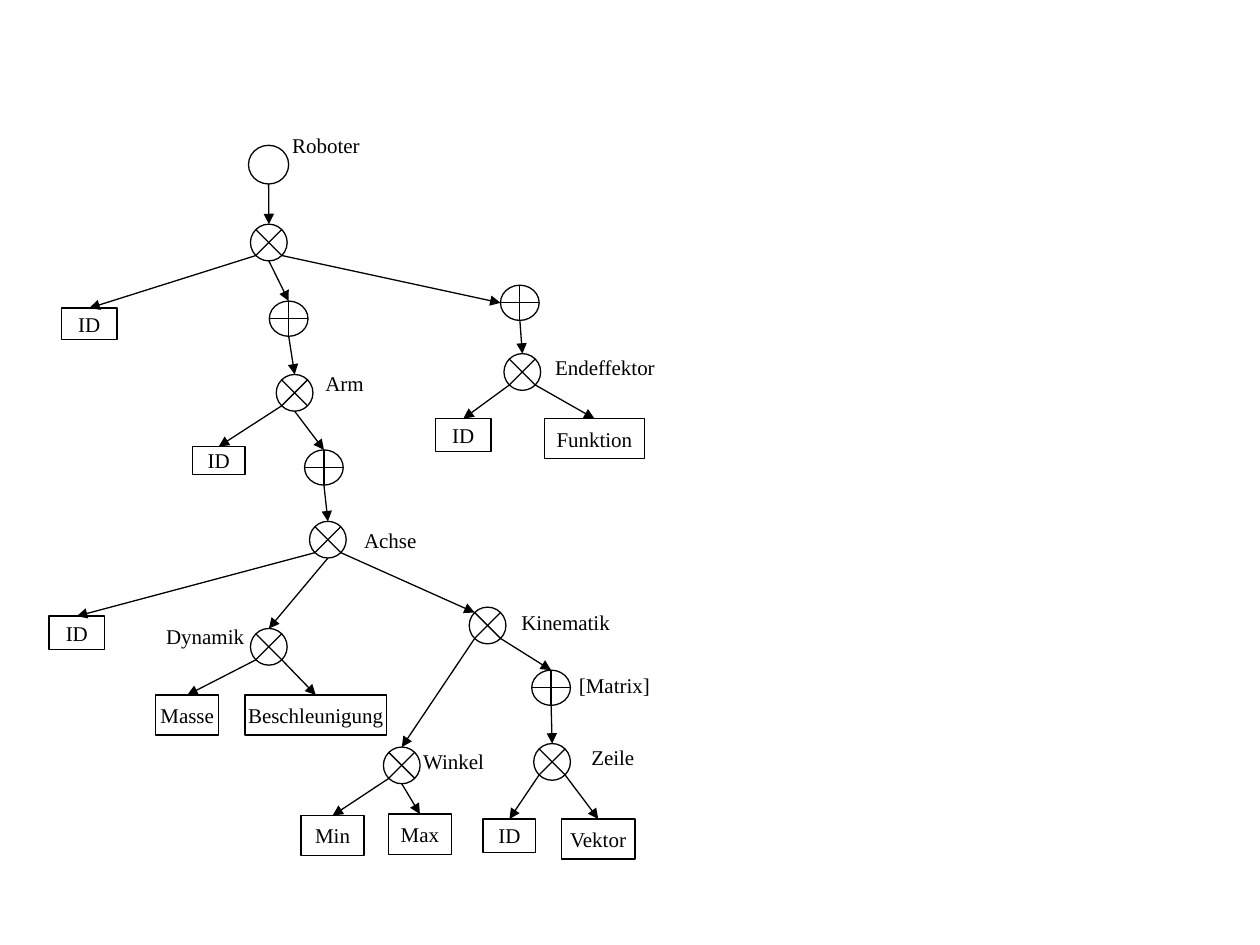
from math import sqrt
from lxml.etree import SubElement
from pptx import Presentation
from pptx.dml.color import RGBColor
from pptx.enum.shapes import MSO_CONNECTOR, MSO_SHAPE
from pptx.enum.text import MSO_ANCHOR, MSO_AUTO_SIZE, PP_ALIGN
from pptx.oxml.ns import qn
from pptx.util import Cm, Pt

COLORS = {"ink": "000000"}
FONT = "Times New Roman"

# kind: preset, width, height (cm)
KINDS = {
    "start": (MSO_SHAPE.FLOWCHART_CONNECTOR, 0.81, 0.78),
    "and": (MSO_SHAPE.FLOWCHART_SUMMING_JUNCTION, 0.74, 0.74),
    "set": (MSO_SHAPE.FLOWCHART_OR, 0.78, 0.71),
}

# name: kind, left, top
NODES = {
    "start": ("start", 5.01, 2.93),
    "robot": ("and", 5.05, 4.52),
    "arms": ("set", 5.43, 6.07),
    "arm": ("and", 5.57, 7.55),
    "axes": ("set", 6.14, 9.07),
    "axis": ("and", 6.24, 10.51),
    "tools": ("set", 10.09, 5.75),
    "tool": ("and", 10.16, 7.13),
    "dynamics": ("and", 5.05, 12.67),
    "motion": ("and", 9.46, 12.24),
    "matrix": ("set", 10.72, 13.51),
    "row": ("and", 10.76, 14.99),
    "angle": ("and", 7.73, 15.06),
}

# name: text, left, top, width, height
BOXES = {
    "robot id": ("ID", 1.24, 6.21, 1.12, 0.64),
    "arm id": ("ID", 3.88, 9.0, 1.06, 0.56),
    "tool id": ("ID", 8.78, 8.44, 1.12, 0.66),
    "function": ("Funktion", 10.98, 8.44, 2.01, 0.81),
    "axis id": ("ID", 0.99, 12.42, 1.12, 0.67),
    "mass": ("Masse", 3.14, 14.01, 1.27, 0.81),
    "speed": ("Beschleunigung", 4.94, 14.01, 2.85, 0.81),
    "min": ("Min", 6.07, 16.44, 1.27, 0.81),
    "max": ("Max", 7.83, 16.41, 1.27, 0.81),
    "row id": ("ID", 9.74, 16.51, 1.06, 0.67),
    "vector": ("Vektor", 11.32, 16.51, 1.48, 0.81),
}

# text, left, top, width
LABELS = [
    ("Roboter", 5.64, 2.54, 1.95),
    ("Arm", 6.31, 7.34, 1.37),
    ("Endeffektor", 10.94, 7.02, 2.61),
    ("Achse", 7.09, 10.52, 1.65),
    ("Kinematik", 10.26, 12.17, 2.39),
    ("Dynamik", 3.1, 12.45, 2.18),
    ("[Matrix]", 11.42, 13.44, 2.03),
    ("Zeile", 11.67, 14.88, 1.47),
    ("Winkel", 8.28, 14.96, 1.85),
]

# parent, side it leaves from, child, side it reaches
EDGES = [
    ("start", "S", "robot", "N"),
    ("robot", "SW", "robot id", "N"),
    ("robot", "S", "arms", "N"),
    ("robot", "SE", "tools", "W"),
    ("arms", "S", "arm", "N"),
    ("arm", "SW", "arm id", "N"),
    ("arm", "S", "axes", "N"),
    ("axes", "S", "axis", "N"),
    ("tools", "S", "tool", "N"),
    ("tool", "SW", "tool id", "N"),
    ("tool", "SE", "function", "N"),
    ("axis", "SW", "axis id", "N"),
    ("axis", "S", "dynamics", "N"),
    ("axis", "SE", "motion", "NW"),
    ("dynamics", "SW", "mass", "N"),
    ("dynamics", "SE", "speed", "N"),
    ("motion", "SW", "angle", "N"),
    ("motion", "SE", "matrix", "N"),
    ("matrix", "S", "row", "N"),
    ("angle", "SW", "min", "N"),
    ("angle", "S", "max", "N"),
    ("row", "SW", "row id", "N"),
    ("row", "SE", "vector", "N"),
]


def ink(name="ink"):
    return RGBColor.from_string(COLORS[name])


def stroke(line):
    line.color.rgb = ink()
    line.width = Pt(0.75)


def write(shape, text, size=12, align=PP_ALIGN.LEFT, anchor=MSO_ANCHOR.TOP):
    frame = shape.text_frame
    frame.word_wrap = False
    frame.vertical_anchor = anchor
    para = frame.paragraphs[0]
    para.alignment = align
    run = para.add_run()
    run.text = text
    run.font.name = FONT
    run.font.size = Pt(size)
    run.font.color.rgb = ink()
    return frame


def outline(slide, preset, *place):
    shape = slide.shapes.add_shape(preset, *map(Cm, place))
    shape.shadow.inherit = False
    shape.fill.background()
    stroke(shape.line)
    return shape


def site(shape, side):
    """Point on the rim of a shape in a compass direction."""
    dx = ("E" in side) - ("W" in side)
    dy = ("S" in side) - ("N" in side)
    reach = sqrt(dx * dx + dy * dy)
    return (int(shape.left + shape.width / 2 * (1 + dx / reach)),
            int(shape.top + shape.height / 2 * (1 + dy / reach)))


def arrow(slide, parent, out, child, side):
    link = slide.shapes.add_connector(
        MSO_CONNECTOR.STRAIGHT, *site(parent, out), *site(child, side))
    if side == "N":
        link.end_connect(child, 0)
    stroke(link.line)
    props = link.line._get_or_add_ln()
    SubElement(props, qn("a:tailEnd"), type="triangle")
    SubElement(link._element.spPr, qn("a:effectLst"))


def main():
    deck = Presentation()
    deck.slide_width, deck.slide_height = Cm(25.4), Cm(19.05)
    slide = deck.slides.add_slide(deck.slide_layouts[6])
    parts = {}
    for name, (kind, left, top) in NODES.items():
        preset, wide, high = KINDS[kind]
        parts[name] = outline(slide, preset, left, top, wide, high)
    for name, (text, *place) in BOXES.items():
        parts[name] = outline(slide, MSO_SHAPE.FLOWCHART_PROCESS, *place)
        write(parts[name], text, align=PP_ALIGN.CENTER, anchor=MSO_ANCHOR.MIDDLE)
    for parent, out, child, side in EDGES:
        arrow(slide, parts[parent], out, parts[child], side)
    for text, *place in LABELS:
        label = slide.shapes.add_textbox(*map(Cm, place), Cm(0.76))
        write(label, text).auto_size = MSO_AUTO_SIZE.SHAPE_TO_FIT_TEXT
    deck.save("out.pptx")


if __name__ == "__main__":
    main()
